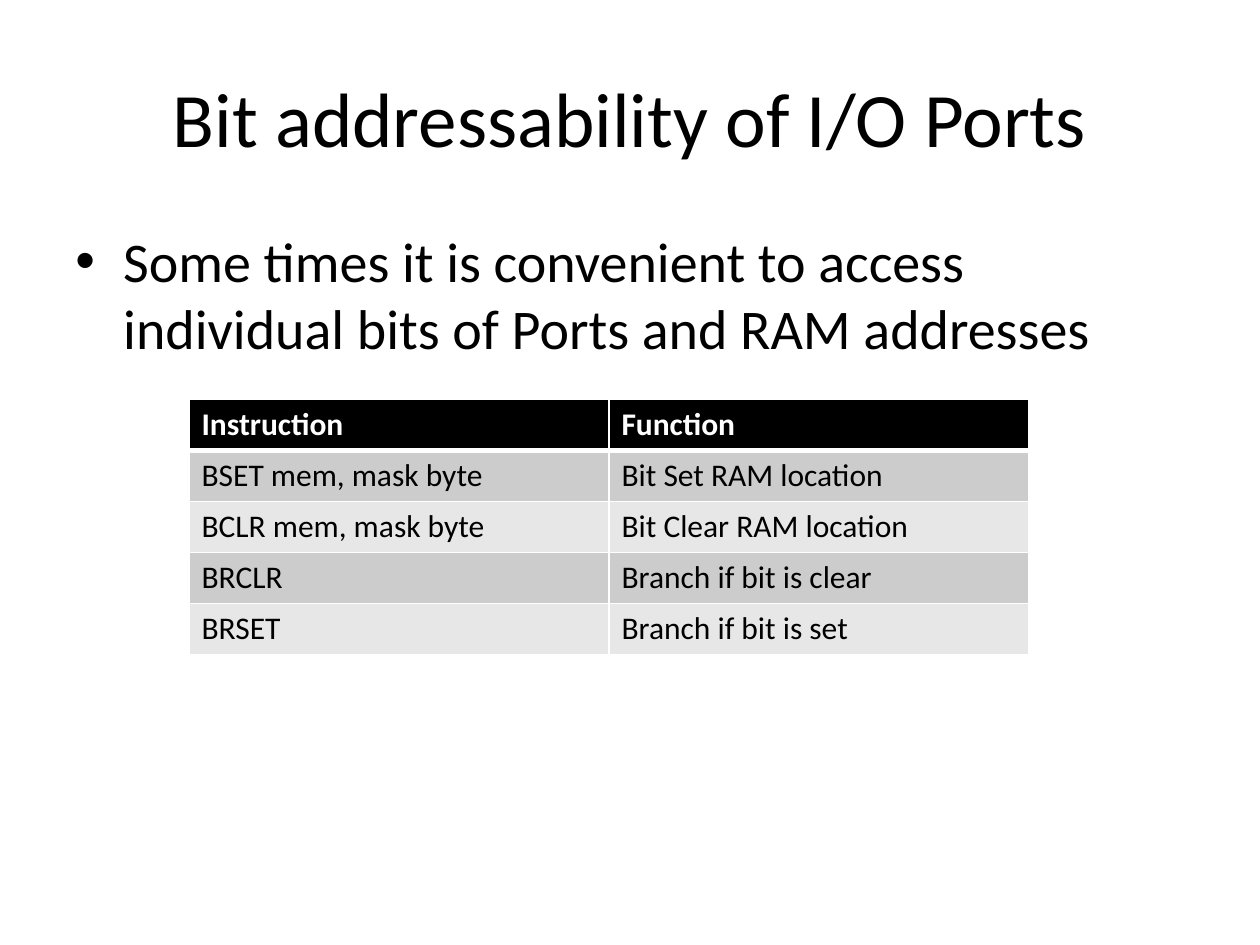
"""Build a slide on bit addressability with a bullet and an instruction table."""
from lxml import etree
from pptx import Presentation
from pptx.dml.color import RGBColor
from pptx.enum.text import MSO_ANCHOR, PP_ALIGN
from pptx.oxml.ns import qn
from pptx.util import Inches, Pt

MIDDLE = MSO_ANCHOR.MIDDLE
CENTER = PP_ALIGN.CENTER
LEFT = PP_ALIGN.LEFT
HUES = {"ink": "000000", "paper": "FFFFFF", "dark": "CCCCCC", "light": "E7E7E7"}
ROWS = [
    ("Instruction", "Function"),
    ("BSET mem, mask byte", "Bit Set RAM location"),
    ("BCLR mem, mask byte", "Bit Clear RAM location"),
    ("BRCLR", "Branch if bit is clear"),
    ("BRSET", "Branch if bit is set"),
]


def write(frame, text, hue, align=LEFT, **form):
    para = frame.paragraphs[0]
    para.alignment = align
    run = para.add_run()
    run.text = text
    run.font.color.rgb = RGBColor.from_string(HUES[hue])
    for key, value in {"name": "Calibri", "bold": False, **form}.items():
        setattr(run.font, key, value)
    return para


def edge(cell, side, width):
    line = etree.SubElement(cell._tc.get_or_add_tcPr(), qn("a:ln" + side), w=str(Pt(width)))
    fill = etree.SubElement(line, qn("a:solidFill"))
    etree.SubElement(fill, qn("a:srgbClr"), val=HUES["paper"])


deck = Presentation()
deck.slide_width, deck.slide_height = Inches(10), Inches(7.5)
wide, high = deck.slide_width, deck.slide_height
slide = deck.slides.add_slide(deck.slide_layouts[5])

title = slide.shapes.title
place = {"left": wide * 0.05, "top": high * 0.04, "width": wide * 0.9, "height": high / 6}
for key, value in place.items():
    setattr(title, key, int(value))
title.text_frame.vertical_anchor = MIDDLE
write(title.text_frame, "Bit addressability of I/O Ports", "ink", CENTER, size=Pt(44))

body = slide.shapes.add_textbox(title.left, int(high * 7 / 30), title.width, int(high * 0.66))
body.text_frame.word_wrap = True
point = write(
    body.text_frame,
    "Some times it is convenient to access individual bits of Ports and RAM addresses",
    "ink",
    size=Pt(32),
)
point.space_before = Pt(6.4)
props = point._p.get_or_add_pPr()
for key, value in {"marL": Inches(0.38), "indent": -Inches(0.38)}.items():
    props.set(key, str(value))
etree.SubElement(props, qn("a:buFont"), typeface="Arial")
etree.SubElement(props, qn("a:buChar"), char="•")

grid = slide.shapes.add_table(
    len(ROWS), len(ROWS[0]), int(wide * 0.15), Inches(3.17),
    int(wide * 2 / 3), int(high * 0.27),
).table
for row, texts in enumerate(ROWS):
    head = row == 0
    shade = "ink" if head else "dark" if row % 2 else "light"
    for col, text in enumerate(texts):
        cell = grid.cell(row, col)
        write(cell.text_frame, text, "paper" if head else "ink", size=Pt(18), bold=head)
        for side in "LRTB":
            thick = (side, row) in (("B", 0), ("T", 1))
            edge(cell, side, 3 if thick else 1)
        cell.fill.solid()
        cell.fill.fore_color.rgb = RGBColor.from_string(HUES[shade])

deck.save("out.pptx")
